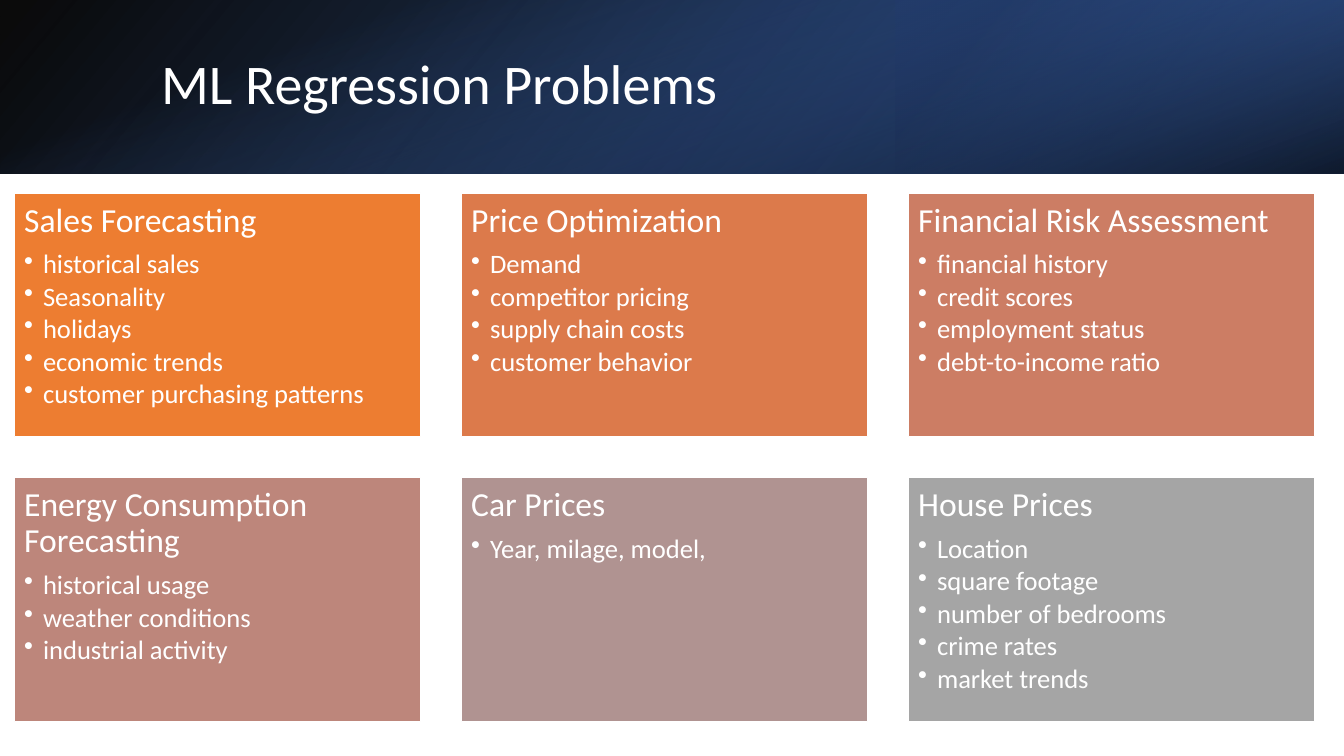
import dataclasses

import pptx
import pptx.dml.color
import pptx.enum.shapes
import pptx.enum.text
import pptx.oxml
import pptx.oxml.ns
import pptx.util

Pt = pptx.util.Pt


@dataclasses.dataclass(frozen=True)
class Theme:
    font: str = "Calibri"
    white: str = "FFFFFF"
    black: str = "000000"
    navy: str = "203864"
    royal: str = "2F5597"
    blue: str = "4472C4"
    cards: tuple = ("ED7D31", "DC7A4B", "CC7D64", "BD867B", "B09391", "A5A5A5")
    title_size: float = 40
    heading_size: float = 24
    item_size: float = 19


THEME = Theme()
SLIDE_WIDTH, SLIDE_HEIGHT = 960, 540
BANNER_HEIGHT = 124
COLUMNS = 3
CARD_LEFT, CARD_TOP = 10.2, 137.8
CARD_WIDTH, CARD_HEIGHT, CARD_GAP = 290.2, 174.2, 29.1
ITEM_INDENT = 13.5

PROBLEMS = [
    ("Sales Forecasting", ["historical sales", "Seasonality", "holidays",
                           "economic trends", "customer purchasing patterns"]),
    ("Price Optimization", ["Demand", "competitor pricing",
                            "supply chain costs", "customer behavior"]),
    ("Financial Risk Assessment", ["financial history", "credit scores",
                                   "employment status", "debt-to-income ratio"]),
    ("Energy Consumption Forecasting", ["historical usage", "weather conditions",
                                        "industrial activity"]),
    ("Car Prices", ["Year, milage, model,"]),
    ("House Prices", ["Location", "square footage", "number of bedrooms",
                      "crime rates", "market trends"]),
]


def rgb(color):
    return pptx.dml.color.RGBColor.from_string(color)


def add_rectangle(slide, left, top, width, height):
    rectangle = slide.shapes.add_shape(
        pptx.enum.shapes.MSO_SHAPE.RECTANGLE,
        Pt(left), Pt(top), Pt(width), Pt(height))
    rectangle.shadow.inherit = False
    return rectangle


def write_text(paragraph, text, *, size, color=THEME.white, space_after=0, bullet=False):
    paragraph.alignment = pptx.enum.text.PP_ALIGN.LEFT
    paragraph.line_spacing = 0.9
    paragraph.space_after = Pt(space_after)
    run = paragraph.add_run()
    run.text = text
    run.font.name = THEME.font
    run.font.size = Pt(size)
    run.font.color.rgb = rgb(color)
    if bullet:
        paragraph.level = 1
        properties = paragraph._p.get_or_add_pPr()
        properties.set("marL", str(Pt(ITEM_INDENT)))
        properties.set("indent", str(-Pt(ITEM_INDENT)))
        properties.append(pptx.oxml.parse_xml(
            f'<a:buChar {pptx.oxml.ns.nsdecls("a")} char="•"/>'))


def add_banner_layer(slide, box, stops, angle, rotation=0, flipped=False):
    """Add a gradient layer; each stop is (position %, colour, opacity %)."""
    layer = add_rectangle(slide, *box)
    layer.rotation = rotation
    layer.line.fill.background()
    properties = layer._element.spPr
    if flipped:
        properties.xfrm.set("flipH", "1")
    stop_xml = "".join(
        f'<a:gs pos="{position * 1000}"><a:srgbClr val="{color}">'
        f'<a:alpha val="{opacity * 1000}"/></a:srgbClr></a:gs>'
        for position, color, opacity in stops)
    gradient = pptx.oxml.parse_xml(
        f'<a:gradFill {pptx.oxml.ns.nsdecls("a")} rotWithShape="1">'
        f'<a:gsLst>{stop_xml}</a:gsLst>'
        f'<a:lin ang="{angle * 60000}" scaled="0"/></a:gradFill>')
    properties.find(pptx.oxml.ns.qn("a:prstGeom")).addnext(gradient)


def add_banner(slide):
    add_banner_layer(slide, (0, 0, SLIDE_WIDTH, BANNER_HEIGHT),
                     [(0, THEME.black, 96), (100, THEME.royal, 100)],
                     angle=140, flipped=True)
    add_banner_layer(slide, (SLIDE_WIDTH * 2 / 3, 0, SLIDE_WIDTH / 3, BANNER_HEIGHT),
                     [(19, THEME.navy, 68), (100, THEME.blue, 79)],
                     angle=320, rotation=180, flipped=True)
    # A quarter turn about its centre lays this tall layer across the banner.
    offset = (SLIDE_WIDTH - BANNER_HEIGHT) / 2
    add_banner_layer(slide, (offset, -offset, BANNER_HEIGHT, SLIDE_WIDTH),
                     [(23, THEME.blue, 0), (99, THEME.black, 74)],
                     angle=340, rotation=90)


def add_title(slide, text):
    title = slide.shapes.add_textbox(Pt(108), Pt(27.4), Pt(790.6), Pt(69))
    frame = title.text_frame
    frame.word_wrap = True
    frame.vertical_anchor = pptx.enum.text.MSO_ANCHOR.MIDDLE
    write_text(frame.paragraphs[0], text, size=THEME.title_size)


def add_card(slide, index, heading, items):
    row, column = divmod(index, COLUMNS)
    card = add_rectangle(slide,
                         CARD_LEFT + column * (CARD_WIDTH + CARD_GAP),
                         CARD_TOP + row * (CARD_HEIGHT + CARD_GAP),
                         CARD_WIDTH, CARD_HEIGHT)
    card.fill.solid()
    card.fill.fore_color.rgb = rgb(THEME.cards[index])
    card.line.color.rgb = rgb(THEME.white)
    card.line.width = Pt(1)
    frame = card.text_frame
    frame.word_wrap = True
    frame.vertical_anchor = pptx.enum.text.MSO_ANCHOR.TOP
    frame.margin_left = frame.margin_right = Pt(7.2)
    frame.margin_top = frame.margin_bottom = Pt(7.2)
    write_text(frame.paragraphs[0], heading, size=THEME.heading_size, space_after=8.4)
    for item in items:
        write_text(frame.add_paragraph(), item, size=THEME.item_size,
                   space_after=2.6, bullet=True)


def main():
    presentation = pptx.Presentation()
    presentation.slide_width = Pt(SLIDE_WIDTH)
    presentation.slide_height = Pt(SLIDE_HEIGHT)
    slide = presentation.slides.add_slide(presentation.slide_layouts[6])
    add_banner(slide)
    add_title(slide, "ML Regression Problems")
    for index, (heading, items) in enumerate(PROBLEMS):
        add_card(slide, index, heading, items)
    presentation.save("out.pptx")


if __name__ == "__main__":
    main()
